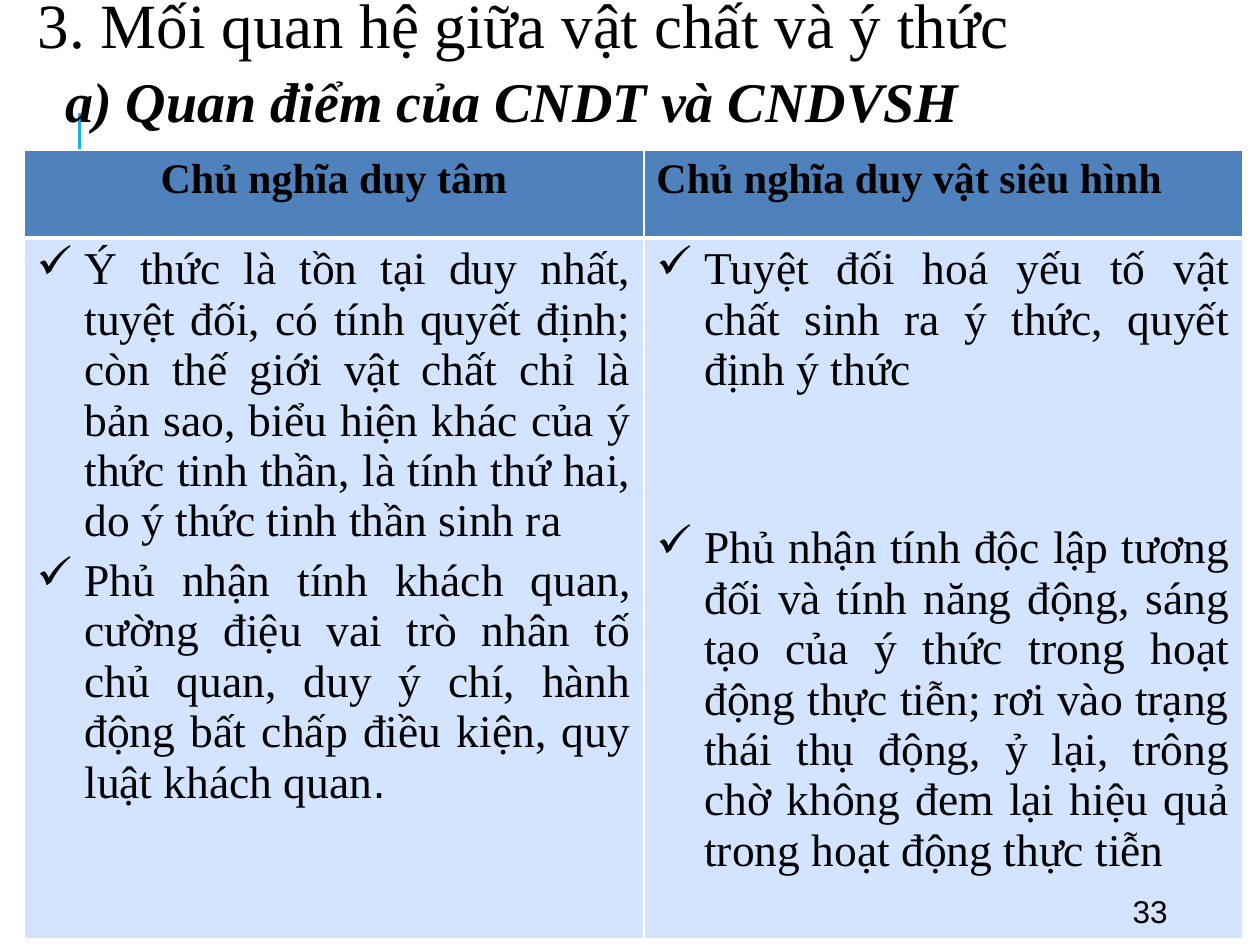
from dataclasses import dataclass

from lxml.etree import SubElement
from pptx import Presentation
from pptx.dml.color import RGBColor
from pptx.enum.shapes import MSO_CONNECTOR as Connector
from pptx.enum.text import MSO_ANCHOR as Anchor, MSO_AUTO_SIZE as AutoSize, PP_ALIGN as Align
from pptx.oxml.ns import qn
from pptx.util import Emu, Pt

PX = 9144


@dataclass(frozen=True)
class Theme:
    serif: str = "Times New Roman"
    sans: str = "Arial"
    ink: str = "000000"
    accent: str = "1CADE4"
    header: str = "4F81BD"
    body: str = "D2E4FF"
    grid: str = "FFFFFF"
    title_size: int = 36
    subtitle_size: int = 32
    header_size: int = 24
    body_size: int = 26
    number_size: int = 18


def px(length):
    return Emu(length * PX)


class ComparisonSlide:
    """Builds a titled slide that compares schools of thought in a table."""

    def __init__(self, deck, theme):
        self.theme = theme
        self.slide = deck.slides.add_slide(deck.slide_layouts[5])

    def style(self, paragraph, size, face=None, bold=False, italic=False):
        font = paragraph.font
        font.name, font.size = face or self.theme.serif, Pt(size)
        font.bold, font.italic = bold, italic
        font.color.rgb = RGBColor.from_string(self.theme.ink)

    def title(self, text, left, top, width, height):
        heading = self.slide.shapes.title
        heading.left, heading.top = px(left), px(top)
        heading.width, heading.height = px(width), px(height)
        frame = heading.text_frame
        frame.text = text
        frame.auto_size, frame.vertical_anchor = AutoSize.NONE, Anchor.MIDDLE
        paragraph = frame.paragraphs[0]
        paragraph.alignment, paragraph.line_spacing = Align.LEFT, 0.9
        self.style(paragraph, self.theme.title_size)

    def label(self, text, box, size, anchor=Anchor.TOP, fit=False, **look):
        frame = self.slide.shapes.add_textbox(*map(px, box)).text_frame
        frame.text = text
        frame.word_wrap, frame.vertical_anchor = not fit, anchor
        frame.auto_size = AutoSize.SHAPE_TO_FIT_TEXT if fit else AutoSize.NONE
        self.style(frame.paragraphs[0], size, **look)

    def line(self, x1, y1, x2, y2):
        rule = self.slide.shapes.add_connector(Connector.STRAIGHT, *map(px, (x1, y1, x2, y2)))
        rule.line.color.rgb = RGBColor.from_string(self.theme.accent)
        rule.line.width = Pt(1.5)
        SubElement(rule._element.spPr, qn("a:effectLst"))

    def paint(self, cell, color, top, bottom):
        properties = cell._tc.get_or_add_tcPr()
        for side, width in (("L", 1), ("R", 1), ("T", top), ("B", bottom)):
            border = SubElement(properties, qn(f"a:ln{side}"), w=str(Pt(width)))
            fill = SubElement(border, qn("a:solidFill"))
            SubElement(fill, qn("a:srgbClr"), val=self.theme.grid)
        cell.fill.solid()
        cell.fill.fore_color.rgb = RGBColor.from_string(color)

    def points(self, frame, points, gap):
        for index, (text, ending) in enumerate(points):
            paragraph = frame.add_paragraph() if index else frame.paragraphs[0]
            paragraph.alignment = Align.JUSTIFY
            if index:
                paragraph.space_before = Pt(gap)
            properties = paragraph._p.get_or_add_pPr()
            properties.set("marL", str(px(38)))
            properties.set("indent", str(px(-38)))
            SubElement(properties, qn("a:buChar"), char="✓")
            self.style(paragraph, self.theme.body_size)
            paragraph.add_run().text = text
            if ending:
                stop = paragraph.add_run()
                stop.text, stop.font.name = ending, self.theme.sans

    def table(self, left, top, widths, heights, columns):
        grid = self.slide.shapes.add_table(
            len(heights), len(widths), px(left), px(top), px(sum(widths)), px(sum(heights))
        ).table
        for row, height in zip(grid.rows, heights):
            row.height = px(height)
        for index, (width, (heading, align, points, gap)) in enumerate(zip(widths, columns)):
            grid.columns[index].width = px(width)
            header, body = grid.cell(0, index), grid.cell(1, index)
            self.paint(header, self.theme.header, top=1, bottom=3)
            self.paint(body, self.theme.body, top=3, bottom=1)
            header.text = heading
            name = header.text_frame.paragraphs[0]
            name.alignment = align
            self.style(name, self.theme.header_size, bold=True)
            self.points(body.text_frame, points, gap)


def main():
    deck = Presentation()
    deck.slide_width, deck.slide_height = px(1000), px(750)
    theme = Theme()
    page = ComparisonSlide(deck, theme)
    idealism = [
        ("Ý thức là tồn tại duy nhất, tuyệt đối, có tính quyết định; còn thế giới vật chất "
         "chỉ là bản sao, biểu hiện khác của ý thức tinh thần, là tính thứ hai, "
         "do ý thức tinh thần sinh ra", ""),
        ("Phủ nhận tính khách quan, cường điệu vai trò nhân tố chủ quan, duy ý chí, "
         "hành động bất chấp điều kiện, quy luật khách quan", "."),
    ]
    materialism = [
        ("Tuyệt đối hoá yếu tố vật chất sinh ra ý thức, quyết định ý thức", ""),
        ("Phủ nhận tính độc lập tương đối và tính năng động, sáng tạo của ý thức trong "
         "hoạt động thực tiễn; rơi vào trạng thái thụ động, ỷ lại, trông chờ không đem lại "
         "hiệu quả trong hoạt động thực tiễn", ""),
    ]
    page.line(63, 190, 63, 90)
    page.table(19, 119, (492, 475), (70, 556), [
        ("Chủ nghĩa duy tâm", Align.CENTER, idealism, 5.2),
        ("Chủ nghĩa duy vật siêu hình", Align.LEFT, materialism, 73),
    ])
    page.label("33", (889, 708, 80, 30), theme.number_size, Anchor.MIDDLE, face=theme.sans)
    page.title("3. Mối quan hệ giữa vật chất và ý thức", 20, -19, 925, 83)
    page.label("a) Quan điểm của CNDT và CNDVSH", (42, 48, 736, 64),
               theme.subtitle_size, fit=True, bold=True, italic=True)
    deck.save("out.pptx")


if __name__ == "__main__":
    main()
